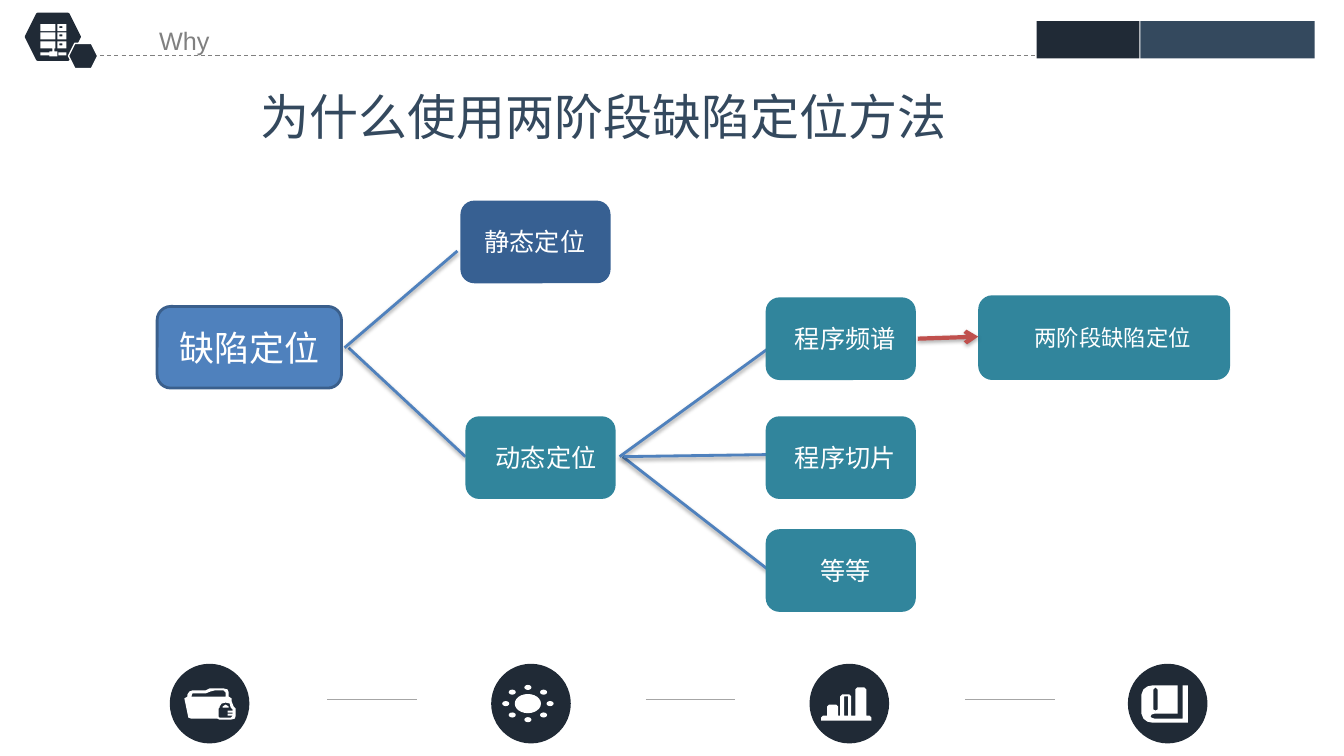
"""Build the slide on why two-stage fault location is used."""
import dataclasses
import math

import lxml.etree
import pptx
import pptx.dml.color
import pptx.enum.dml
import pptx.enum.shapes
import pptx.enum.text
import pptx.oxml.ns
import pptx.slide
import pptx.util

Inches = pptx.util.Inches
Kind = pptx.enum.shapes.MSO_SHAPE
DARK, SLATE, TEAL, BLUE, WHITE = "202A36", "34495E", "31859C", "4F81BD", "FFFFFF"


def color(code):
    return pptx.dml.color.RGBColor.from_string(code)


def node(parent, tag, **attrs):
    return lxml.etree.SubElement(parent, pptx.oxml.ns.qn(tag), attrs)


def box(left, top, right, bottom):
    return [(left, top), (right, top), (right, bottom), (left, bottom)]


@dataclasses.dataclass
class Deck:
    slide: pptx.slide.Slide
    font: str = "Arial"

    def paint(self, shape, fill, edge=None, width=1):
        shape.shadow.inherit = False
        shape.fill.solid()
        shape.fill.fore_color.rgb = color(fill)
        if edge:
            shape.line.color.rgb = color(edge)
            shape.line.width = pptx.util.Pt(width)
        else:
            shape.line.fill.background()
        return shape

    def shape(self, kind, at, fill, edge=None, width=1):
        item = self.slide.shapes.add_shape(kind, *map(Inches, at))
        return self.paint(item, fill, edge, width)

    def label(self, shape, text, size, ink=WHITE, font=None, middle=True):
        frame = shape.text_frame
        frame.word_wrap = True
        anchor = pptx.enum.text.MSO_ANCHOR
        frame.vertical_anchor = anchor.MIDDLE if middle else anchor.TOP
        para = frame.paragraphs[0]
        para.alignment = pptx.enum.text.PP_ALIGN.CENTER
        run = para.add_run()
        run.text = text
        run.font.size = pptx.util.Pt(size)
        run.font.name = font or self.font
        run.font.color.rgb = color(ink)
        return frame

    def text(self, at, text, size, ink=WHITE, font=None, middle=True):
        item = self.slide.shapes.add_textbox(*map(Inches, at))
        return self.label(item, text, size, ink, font, middle)

    def card(self, at, fill, text, inset, width, size=18):
        left, top, _, high = at
        self.shape(Kind.ROUNDED_RECTANGLE, at, fill)
        self.text((left + inset, top + 0.11, width, high - 0.22), text, size)

    def line(self, start, end, ink, width, dash=False, arrow=False, shade=0):
        item = self.slide.shapes.add_connector(
            pptx.enum.shapes.MSO_CONNECTOR.STRAIGHT, *map(Inches, start + end))
        item.line.color.rgb = color(ink)
        item.line.width = pptx.util.Pt(width)
        if dash:
            item.line.dash_style = pptx.enum.dml.MSO_LINE.DASH
        props = item._element.spPr
        if arrow:
            node(props.get_or_add_ln(), "a:tailEnd", type="arrow")
        effects = node(props, "a:effectLst")
        if shade:
            cast = node(effects, "a:outerShdw", blurRad="39370", dist="20320",
                        dir="5400000", rotWithShape="0")
            black = node(cast, "a:srgbClr", val="000000")
            node(black, "a:alpha", val=str(shade * 1000))

    def icon(self, *rings):
        rings = [[(Inches(x), Inches(y)) for x, y in ring] for ring in rings]
        pen = self.slide.shapes.build_freeform(*rings[0][0])
        for index, ring in enumerate(rings):
            if index:
                pen.move_to(*ring[0])
            pen.add_line_segments(ring[1:], close=True)
        self.paint(pen.convert_to_shape(), WHITE)

    def oval(self, x, y, wide, high, fill=WHITE):
        self.shape(Kind.OVAL, (x - wide / 2, y - high / 2, wide, high), fill)


def header(deck):
    deck.shape(Kind.HEXAGON, (0.26, 0.14, 0.53, 0.45), DARK, DARK, 2)
    deck.line((0.92, 0.55), (10.29, 0.55), "808080", 0.75, dash=True)
    deck.shape(Kind.HEXAGON, (0.68, 0.43, 0.29, 0.25), DARK, WHITE, 1)
    racks = []
    for top in (0.24, 0.32, 0.41):
        racks += [box(0.4, top, 0.55, top + 0.07), box(0.57, top, 0.66, top + 0.07),
                  box(0.59, top + 0.02, 0.62, top + 0.04)]
    stand = [(0.52, 0.48), (0.54, 0.48), (0.54, 0.51), (0.57, 0.51), (0.57, 0.56),
             (0.49, 0.56), (0.49, 0.55), (0.4, 0.55), (0.4, 0.52), (0.49, 0.52),
             (0.49, 0.51), (0.52, 0.51)]
    deck.icon(*racks, stand, box(0.58, 0.52, 0.66, 0.55))
    deck.shape(Kind.RECTANGLE, (10.29, 0.21, 1.02, 0.37), DARK)
    deck.shape(Kind.RECTANGLE, (11.32, 0.21, 1.73, 0.37), SLATE)
    grow = pptx.enum.text.MSO_AUTO_SIZE.SHAPE_TO_FIT_TEXT
    topic = deck.text((0.73, 0.05, 2.2, 0.55), "Why", 18, "808080", middle=False)
    topic.paragraphs[0].line_spacing = 1.5
    topic.auto_size = grow
    title = deck.text((2.08, 0.82, 7.82, 0.66), "为什么使用两阶段缺陷定位方法", 35,
                      SLATE, "Noto Sans CJK SC", False)
    title.margin_left = title.margin_right = Inches(0.07)
    title.margin_top = title.margin_bottom = Inches(0.04)
    title.auto_size = grow


def tree(deck):
    for start, end in (((3.46, 3.45), (4.62, 4.53)), ((3.42, 3.45), (4.54, 2.49)),
                       ((6.18, 4.53), (7.61, 5.64)), ((6.15, 4.53), (7.76, 3.36)),
                       ((6.19, 4.53), (7.61, 4.51))):
        deck.line(start, end, BLUE, 2, shade=38)
    for left, top, fill, text, inset in (
            (4.57, 1.99, "376092", "静态定位", 0.11), (4.62, 4.13, TEAL, "动态定位", 0.17),
            (7.6, 2.95, TEAL, "程序频谱", 0.16), (7.6, 4.13, TEAL, "程序切片", 0.16),
            (7.6, 5.25, TEAL, "等等", 0.16)):
        deck.card((left, top, 1.49, 0.82), fill, text, inset, 1.26)
    root = deck.shape(Kind.ROUNDED_RECTANGLE, (1.56, 3.04, 1.83, 0.81), BLUE, "3A5F8C", 2)
    deck.label(root, "缺陷定位", 25, font="Calibri")
    deck.card((9.71, 2.93, 2.5, 0.84), TEAL, "两阶段缺陷定位", 0.27, 2.13, 16)
    deck.line((9.11, 3.36), (9.71, 3.34), "C0504D", 3, arrow=True, shade=35)


def footer(deck):
    for x in (2.08, 5.27, 8.43, 11.59):
        deck.oval(x, 6.98, 0.79, 0.79, DARK)
    for x in (3.25, 6.41, 9.58):
        deck.line((x, 6.94), (x + 0.89, 6.94), "A6A6A6", 0.75)
    folder = [(1.83, 6.93), (1.86, 6.91), (1.86, 6.89), (1.88, 6.86), (1.91, 6.85),
              (2.04, 6.85), (2.08, 6.83), (2.13, 6.83), (2.22, 6.83), (2.26, 6.84),
              (2.27, 6.87), (2.27, 6.91), (2.3, 6.93), (2.3, 6.96), (2.32, 7.01),
              (2.34, 7.03), (2.34, 7.1), (2.33, 7.13), (2.29, 7.14), (2.18, 7.14),
              (2.16, 7.13), (1.9, 7.13), (1.87, 7.12)]
    flap = [(1.9, 6.91), (1.91, 6.88), (2.04, 6.88), (2.09, 6.86), (2.13, 6.85),
            (2.22, 6.85), (2.24, 6.87), (2.24, 6.91)]
    lock = [(2.18, 7.02), (2.18, 7.01), (2.2, 6.98), (2.24, 6.97), (2.28, 6.98),
            (2.29, 7.02), (2.31, 7.04), (2.31, 7.05), (2.26, 7.05), (2.26, 7.07),
            (2.31, 7.07), (2.31, 7.08), (2.26, 7.08), (2.26, 7.1), (2.31, 7.1),
            (2.29, 7.12), (2.18, 7.12), (2.17, 7.11), (2.17, 7.03)]
    arch = [(2.21, 7.02), (2.21, 7.01), (2.24, 6.99), (2.27, 7.01), (2.27, 7.02)]
    deck.icon(folder, flap, lock, arch)
    deck.oval(5.24, 6.98, 0.26, 0.19)
    for step in range(8):
        turn = step * math.pi / 4
        deck.oval(5.24 + 0.22 * math.cos(turn), 6.98 + 0.16 * math.sin(turn), 0.07, 0.05)
    bars = [(8.15, 7.15), (8.15, 7.12), (8.17, 7.1)]
    for left, top in ((8.21, 6.99), (8.34, 6.89), (8.49, 6.82)):
        bars += [(left, 7.1), (left, top + 0.02), (left + 0.02, top),
                 (left + 0.09, top), (left + 0.11, top + 0.02), (left + 0.11, 7.1)]
    bars += [(8.63, 7.1), (8.65, 7.12), (8.65, 7.15)]
    deck.icon(bars, box(8.38, 6.91, 8.42, 7.1))
    book = [(11.79, 6.8), (11.74, 6.8), (11.74, 7.13), (11.46, 7.13), (11.43, 7.12),
            (11.42, 7.11), (11.43, 7.09), (11.46, 7.08), (11.69, 7.08), (11.69, 6.8),
            (11.44, 6.8), (11.39, 6.81), (11.35, 6.84), (11.33, 6.89), (11.33, 7.08),
            (11.35, 7.13), (11.39, 7.16), (11.44, 7.17), (11.79, 7.17)]
    spine = [(11.45, 6.84), (11.47, 6.82), (11.49, 6.84), (11.49, 7.04),
             (11.47, 7.05), (11.45, 7.04)]
    deck.icon(book, spine)


def main():
    show = pptx.Presentation()
    show.slide_width, show.slide_height = Inches(13.34), Inches(7.5)
    deck = Deck(show.slides.add_slide(show.slide_layouts[6]))
    header(deck)
    tree(deck)
    footer(deck)
    show.save("out.pptx")


if __name__ == "__main__":
    main()
